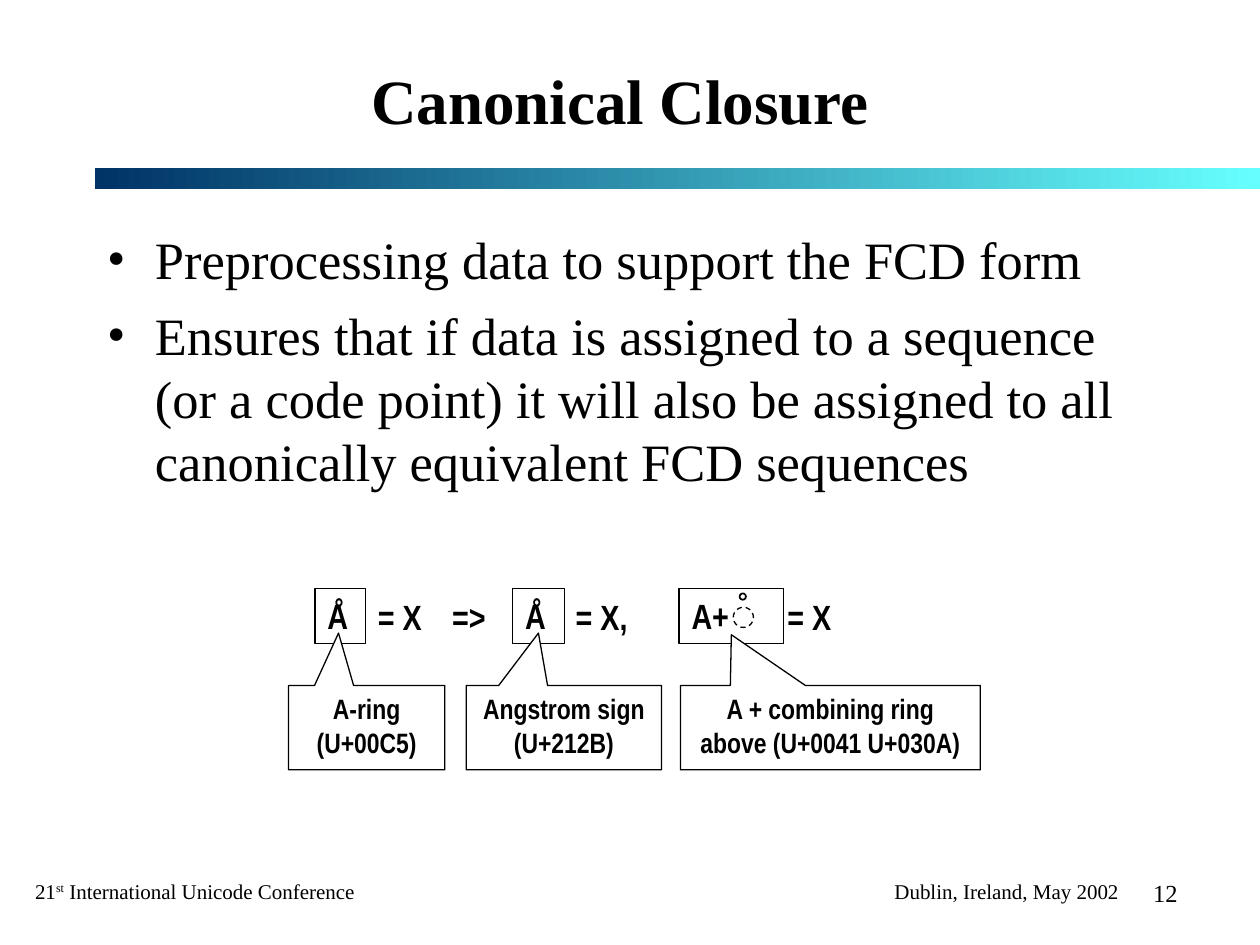
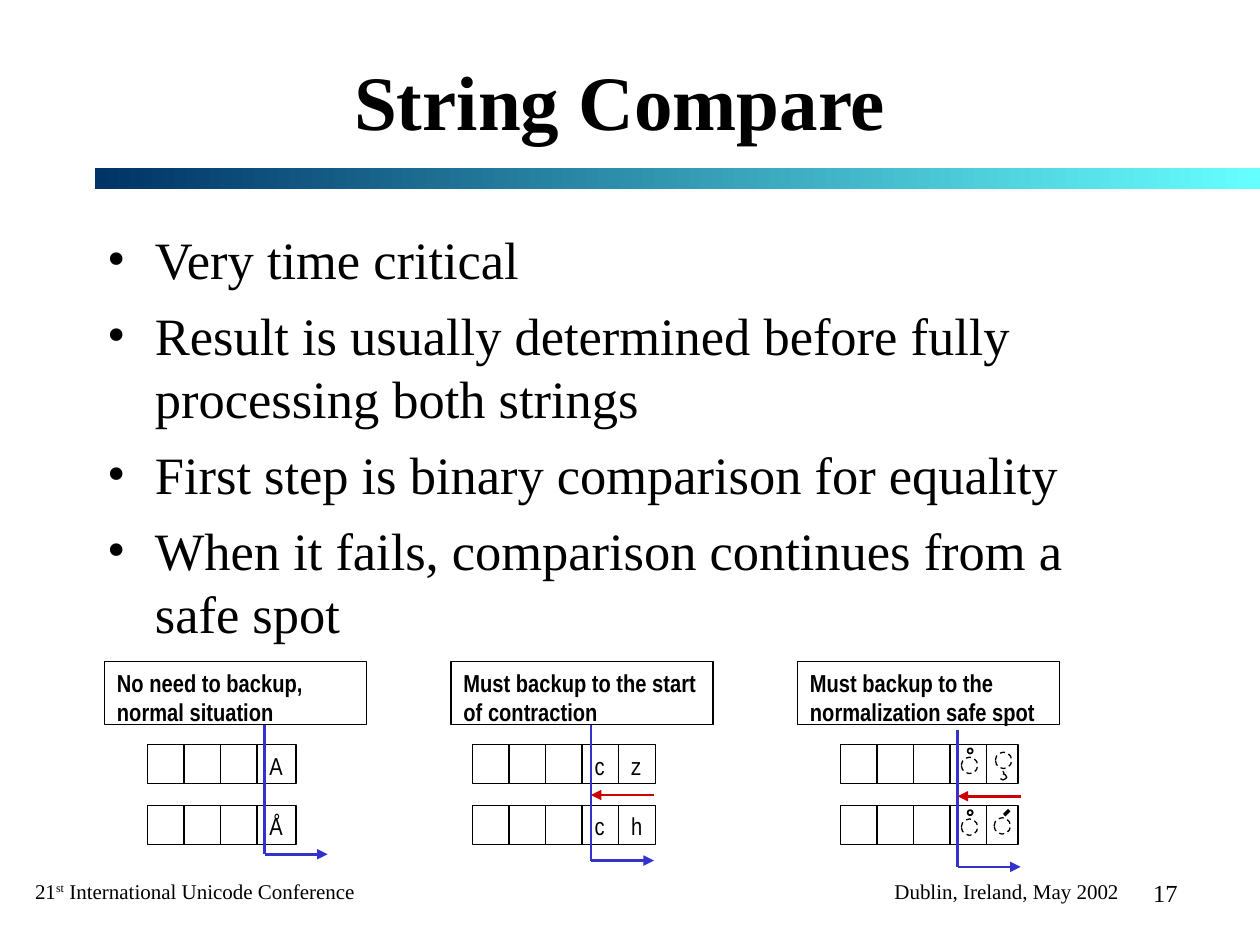
from lxml.etree import SubElement
from pptx import Presentation
from pptx.dml.color import RGBColor
from pptx.enum.dml import MSO_LINE_DASH_STYLE as Dash
from pptx.enum.shapes import MSO_CONNECTOR as Connector, MSO_SHAPE as Preset
from pptx.enum.text import MSO_ANCHOR as Anchor, MSO_AUTO_SIZE as AutoSize, PP_ALIGN as Align
from pptx.oxml.ns import qn
from pptx.util import Inches, Pt

COLORS = {
    "ink": "000000",
    "paper": "FFFFFF",
    "band_dark": "003366",
    "band_light": "66FFFF",
    "forward": "3333CC",
    "backup": "CC0000",
}
SERIF = "Times New Roman"
NARROW = "Arial Narrow"
CELL_PITCH = 0.29
CELL_HEIGHT = 0.31
ROW_TOPS = (5.91, 6.39)


def color(key):
    return RGBColor.from_string(COLORS[key])


def inches(*values):
    return [Inches(value) for value in values]


class Deck:
    def __init__(self):
        self.prs = Presentation()
        self.prs.slide_width, self.prs.slide_height = inches(10, 7.5)
        self.slide = None

    @property
    def shapes(self):
        return self.slide.shapes

    def new_slide(self, title, title_size, bullets, body_height, number):
        self.slide = self.prs.slides.add_slide(self.prs.slide_layouts[1])
        self.band()
        self.footer(0.18, 2.74, ("21", "st", " International Unicode Conference"))
        self.footer(7, 1.99, ("Dublin, Ireland, May 2002",))
        self.title(title, title_size)
        self.bullets(bullets, body_height)
        self.text(number, (8.75, 6.92, 1, 0.42), 14, SERIF, align=Align.CENTER)

    def place(self, shape, box):
        shape.left, shape.top, shape.width, shape.height = inches(*box)

    def frame(self, shape, wrap=True, anchor=Anchor.TOP):
        frame = shape.text_frame
        frame.auto_size = AutoSize.NONE
        frame.word_wrap = wrap
        frame.vertical_anchor = anchor
        return frame

    def style(self, paragraph, size, face, bold=False, align=Align.LEFT, before=0):
        paragraph.alignment = align
        paragraph.space_before = Pt(before)
        font = paragraph.font
        font.size, font.name, font.bold = Pt(size), face, bold
        font.color.rgb = color("ink")

    def label(self, shape, words, size, face, bold=False, align=Align.LEFT, anchor=Anchor.TOP):
        frame = self.frame(shape, anchor=anchor)
        frame.text = words
        self.style(frame.paragraphs[0], size, face, bold, align)

    def title(self, words, size):
        heading = self.shapes.title
        self.place(heading, (0.67, 0.33, 8.5, 0.92))
        self.label(heading, words, size, SERIF, True, Align.CENTER, Anchor.MIDDLE)

    def bullets(self, points, height):
        body = self.slide.placeholders[1]
        self.place(body, (0.75, 1.75, 8.5, height))
        frame = self.frame(body)
        frame.text = "\n".join(points)
        for index, paragraph in enumerate(frame.paragraphs):
            props = paragraph._p.get_or_add_pPr()
            props.set("marL", str(Inches(0.38)))
            props.set("indent", str(Inches(-0.38)))
            tint = SubElement(props, qn("a:buClr"))
            SubElement(tint, qn("a:srgbClr")).set("val", COLORS["ink"])
            SubElement(props, qn("a:buFont")).set("typeface", SERIF)
            SubElement(props, qn("a:buChar")).set("char", "•")
            self.style(paragraph, 30, SERIF, before=7.5 if index else 0)

    def band(self):
        band = self.shape((0.75, 1.33, 9.25, 0.17), width=None)
        band.fill.gradient()
        band.fill.gradient_angle = 0
        for stop, key in zip(band.fill.gradient_stops, ("band_dark", "band_light")):
            stop.color.rgb = color(key)

    def footer(self, left, width, parts):
        box = self.shapes.add_textbox(*inches(left, 6.92, width, 0.3))
        paragraph = self.frame(box, wrap=False).paragraphs[0]
        for part in parts:
            run = paragraph.add_run()
            run.text = part
            if part == "st":
                run._r.get_or_add_rPr().set("baseline", "30000")
        self.style(paragraph, 12, SERIF)

    def text(self, words, box, size, face, bold=False, align=Align.LEFT):
        self.label(self.shapes.add_textbox(*inches(*box)), words, size, face, bold, align)

    def shape(self, box, preset=Preset.RECTANGLE, fill=None, width=0.75, dash=None):
        shape = self.shapes.add_shape(preset, *inches(*box))
        self.outline(shape, fill, width, dash)
        return shape

    def outline(self, shape, fill=None, width=0.75, dash=None):
        shape.shadow.inherit = False
        if fill:
            shape.fill.solid()
            shape.fill.fore_color.rgb = color(fill)
        else:
            shape.fill.background()
        if width is None:
            shape.line.fill.background()
            return
        shape.line.color.rgb = color("ink")
        shape.line.width = Pt(width)
        if dash:
            shape.line.dash_style = dash

    def callout(self, words, left, width, tip):
        callout = self.shape((left, 5.44, width, 0.67), Preset.RECTANGULAR_CALLOUT, "paper")
        callout.adjustments[0], callout.adjustments[1] = tip
        self.label(callout, words, 16, NARROW, True, Align.CENTER)

    def line(self, start, end, key="ink", width=1.5, arrow=False):
        line = self.shapes.add_connector(Connector.STRAIGHT, *inches(*start, *end))
        line.line.color.rgb = color(key)
        line.line.width = Pt(width)
        props = line._element.spPr
        if arrow:
            SubElement(props.get_or_add_ln(), qn("a:tailEnd")).set("type", "triangle")
        SubElement(props, qn("a:effectLst"))

    def curve(self, points):
        start, *rest = [inches(*point) for point in points]
        builder = self.shapes.build_freeform(*start, scale=1.0)
        builder.add_line_segments(rest, close=False)
        self.outline(builder.convert_to_shape())

    def base_circle(self, left, top, size=0.13):
        self.shape((left, top, size, size), Preset.OVAL, dash=Dash.DASH)

    def ring(self, left, top, size=0.04):
        self.shape((left, top, size, size), Preset.OVAL, width=1)

    def cells(self, left, rows, last_width):
        for top, letters in zip(ROW_TOPS, rows):
            for column, letter in enumerate(letters):
                width = last_width if column == len(letters) - 1 else CELL_PITCH
                cell = self.shape((left + column * CELL_PITCH, top, width, CELL_HEIGHT))
                if letter:
                    self.label(cell, letter, 14, NARROW)

    def comparison(self, caption, left, caption_left, rows, last_width, spot, backup_y=None):
        x, top, bottom = spot
        self.cells(left, rows, last_width)
        self.line((x, top), (x, bottom), "forward")
        self.line((x, bottom), (x + 0.5, bottom), "forward", arrow=True)
        if backup_y:
            self.line((x + 0.5, backup_y), (x, backup_y), "backup", arrow=True)
        box = self.shape((caption_left, 5.25, 2.08, 0.5), fill="paper")
        self.label(box, caption, 14, NARROW, True)


def canonical_closure(deck):
    deck.new_slide("Canonical Closure", 36, (
        "Preprocessing data to support the FCD form",
        "Ensures that if data is assigned to a sequence (or a code point) it will also "
        "be assigned to all canonically equivalent FCD sequences",
    ), 2.92, "12")
    for sequence, left, width in (("Å", 2.5, 0.4), ("Å", 4.07, 0.41), ("A+", 5.39, 0.83)):
        deck.label(deck.shape((left, 4.67, width, 0.44)), sequence, 20, NARROW, True)
    for term, left, width in (("= X", 2.9, 0.6), ("=>", 3.49, 0.6),
                              ("= X,", 4.47, 0.93), ("= X", 6.15, 0.6)):
        deck.text(term, (left, 4.68, width, 0.44), 20, NARROW, True)
    deck.base_circle(5.82, 4.82, 0.16)
    deck.ring(5.87, 4.71, 0.05)
    deck.callout("A-ring (U+00C5)", 2.29, 1.24, (-0.18, -1.12))
    deck.callout("Angstrom sign (U+212B)", 3.7, 1.55, (-0.13, -1.12))
    deck.callout("A + combining ring above (U+0041 U+030A)", 5.4, 2.38, (-0.33, -1.1))


def string_compare(deck):
    deck.new_slide("String Compare", 44, (
        "Very time critical",
        "Result is usually determined before fully processing both strings",
        "First step is binary comparison for equality",
        "When it fails, comparison continues from a safe spot",
    ), 3.5, "17")
    prefix = ("",) * 3
    deck.comparison("No need to backup, normal situation", 1.17, 0.83,
                    (prefix + ("A",), prefix + ("Å",)), 0.31, (2.1, 5.69, 6.78))
    deck.comparison("Must backup to the start of contraction", 3.75, 3.58,
                    (prefix + ("c", "z"), prefix + ("c", "h")), 0.29,
                    (4.69, 5.75, 6.83), 6.31)
    deck.comparison("Must backup to the normalization safe spot", 6.67, 6.33,
                    (("",) * 5,) * 2, 0.25, (7.6, 5.79, 6.88), 6.32)
    for ring_top in (5.94, 6.43):
        deck.base_circle(7.63, ring_top + 0.07)
        deck.ring(7.68, ring_top)
    deck.base_circle(7.9, 5.97)
    deck.line((7.96, 6.12), (7.97, 6.14), width=0.75)
    deck.curve(((7.96, 6.14), (7.98, 6.15), (7.99, 6.17), (7.98, 6.18), (7.96, 6.19), (7.94, 6.18)))
    deck.base_circle(7.89, 6.49)
    deck.line((7.97, 6.47), (8.01, 6.43), width=2)


def main():
    deck = Deck()
    canonical_closure(deck)
    string_compare(deck)
    deck.prs.save("out.pptx")


if __name__ == "__main__":
    main()
